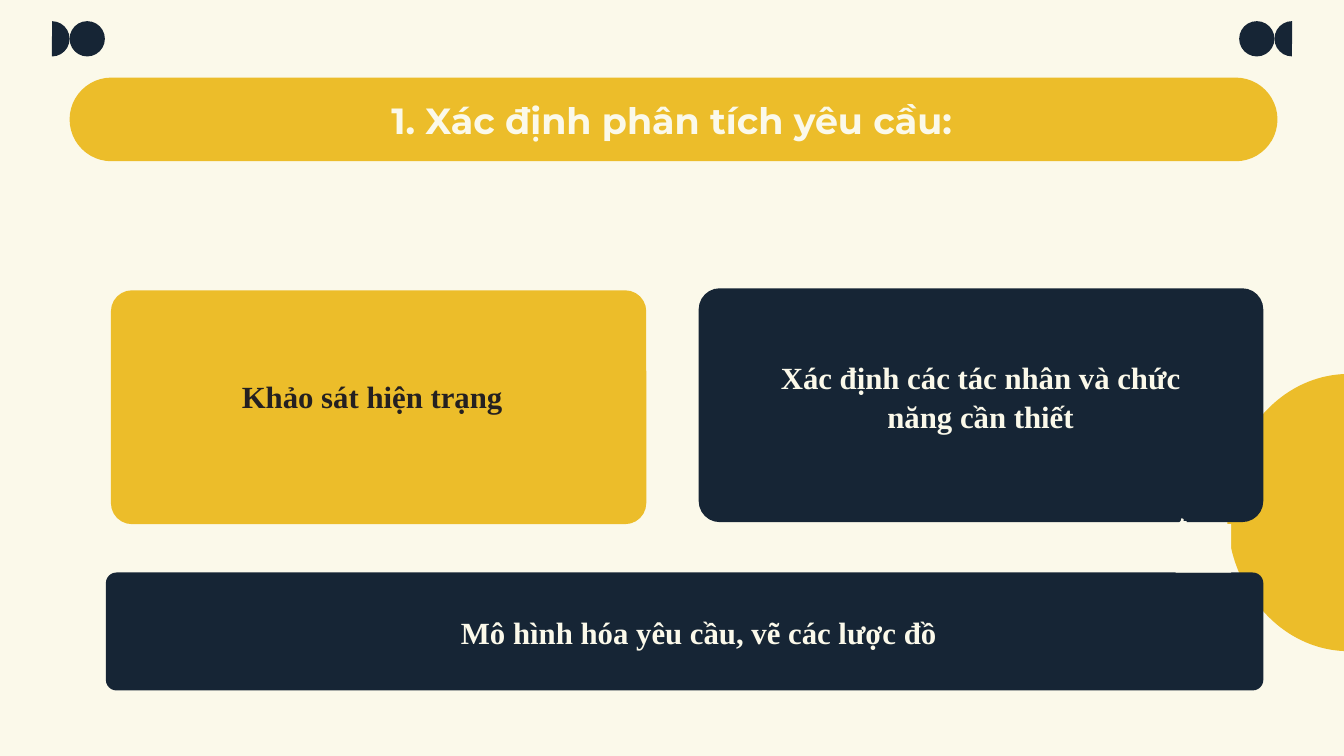
from pptx import Presentation
from pptx import util as u
from pptx.dml.color import RGBColor
from pptx.enum import shapes, text

CREAM = RGBColor(0xFB, 0xF9, 0xEA)
GOLD = RGBColor(0xEC, 0xBD, 0x2A)
NAVY = RGBColor(0x16, 0x25, 0x35)
BLACK = RGBColor(0x24, 0x20, 0x21)
KIND = shapes.MSO_SHAPE
ALIGN = text.PP_ALIGN

deck = Presentation()
deck.slide_width = u.Inches(13.33)
deck.slide_height = u.Inches(7.5)
slide = deck.slides.add_slide(deck.slide_layouts[5])
slide.background.fill.solid()
slide.background.fill.fore_color.rgb = CREAM


def paint(shape, color):
    shape.shadow.inherit = False
    shape.fill.solid()
    shape.fill.fore_color.rgb = color
    shape.line.fill.background()


def style(para, face, size, color, align):
    para.alignment = align
    for run in para.runs:
        run.font.name = face
        run.font.size = u.Pt(size)
        run.font.bold = True
        run.font.color.rgb = color


for kind, box, color, turn, adjust in [
    (KIND.PIE, (12.17, 3.71, 2.41, 2.75), GOLD, 0, (53.46, 162)),
    (KIND.PIE, (0.34, 0.21, 0.35, 0.35), NAVY, 180, (54.58, 162)),
    (KIND.OVAL, (0.69, 0.21, 0.35, 0.35), NAVY, 0, ()),
    (KIND.PIE, (12.64, 0.21, 0.35, 0.35), NAVY, 0, (54.58, 162)),
    (KIND.OVAL, (12.29, 0.21, 0.35, 0.35), NAVY, 0, ()),
    (KIND.ROUNDED_RECTANGLE, (0.69, 0.77, 11.98, 0.83), GOLD, 0, (0.5,)),
    (KIND.ROUNDED_RECTANGLE, (6.93, 2.86, 5.6, 2.32), NAVY, 0, (0.09,)),
    (KIND.ROUNDED_RECTANGLE, (1.1, 2.88, 5.31, 2.32), GOLD, 0, (0.09,)),
    (KIND.ROUNDED_RECTANGLE, (1.05, 5.68, 11.48, 1.17), NAVY, 0, (0.09,)),
]:
    shape = slide.shapes.add_shape(kind, *map(u.Inches, box))
    shape.rotation = turn
    for spot, value in enumerate(adjust):
        shape.adjustments[spot] = value
    paint(shape, color)

dollar = [
    (11.72, 5.14), (11.71, 5.17), (11.66, 5.22), (11.67, 5.26), (11.75, 5.26),
    (11.74, 5.3), (11.66, 5.31), (11.67, 5.33), (11.71, 5.33), (11.72, 5.36),
    (11.74, 5.33), (11.79, 5.28), (11.77, 5.23), (11.69, 5.23), (11.71, 5.2),
    (11.77, 5.2), (11.77, 5.17), (11.74, 5.17), (11.74, 5.15),
]
graph = [
    (12.03, 5.2), (12.01, 5.22), (12.01, 5.28), (12.04, 5.3), (11.9, 5.44),
    (11.84, 5.38), (11.8, 5.36), (11.77, 5.38), (11.66, 5.48), (11.66, 5.68),
    (12.21, 5.68), (12.21, 5.2),
]
for points in (dollar, graph):
    first, *rest = [(u.Inches(x), u.Inches(y)) for x, y in points]
    pen = slide.shapes.build_freeform(*first)
    pen.add_line_segments(rest)
    paint(pen.convert_to_shape(), CREAM)

title = slide.shapes.title
title.element.getparent().append(title.element)
title.left, title.top = u.Inches(1.05), u.Inches(0.77)
title.width, title.height = u.Inches(11.23), u.Inches(0.83)
frame = title.text_frame
frame.text = "1. Xác định phân tích yêu cầu:"
frame.auto_size = text.MSO_AUTO_SIZE.NONE
frame.vertical_anchor = text.MSO_ANCHOR.MIDDLE
frame.margin_left = frame.margin_right = 0
frame.margin_top = frame.margin_bottom = 0
style(frame.paragraphs[0], "Montserrat", 26, CREAM, ALIGN.CENTER)

for words, box, color, align, side, edge in [
    ("Mô hình hóa yêu cầu, vẽ các lược đồ",
     (3.63, 5.93, 6.6, 0.76), CREAM, ALIGN.CENTER, 0.13, 0.13),
    ("Khảo sát hiện trạng",
     (2.3, 3.67, 4.83, 0.47), BLACK, ALIGN.LEFT, 0.1, 0.05),
    ("Xác định các tác nhân và chức năng cần thiết",
     (7.38, 3.48, 4.69, 0.87), CREAM, ALIGN.CENTER, 0.1, 0.05),
]:
    frame = slide.shapes.add_textbox(*map(u.Inches, box)).text_frame
    frame.word_wrap = True
    frame.margin_left = frame.margin_right = u.Inches(side)
    frame.margin_top = frame.margin_bottom = u.Inches(edge)
    frame.text = words
    para = frame.paragraphs[0]
    para.line_spacing = 1.07
    style(para, "Times New Roman", 22, color, align)

deck.save("out.pptx")
